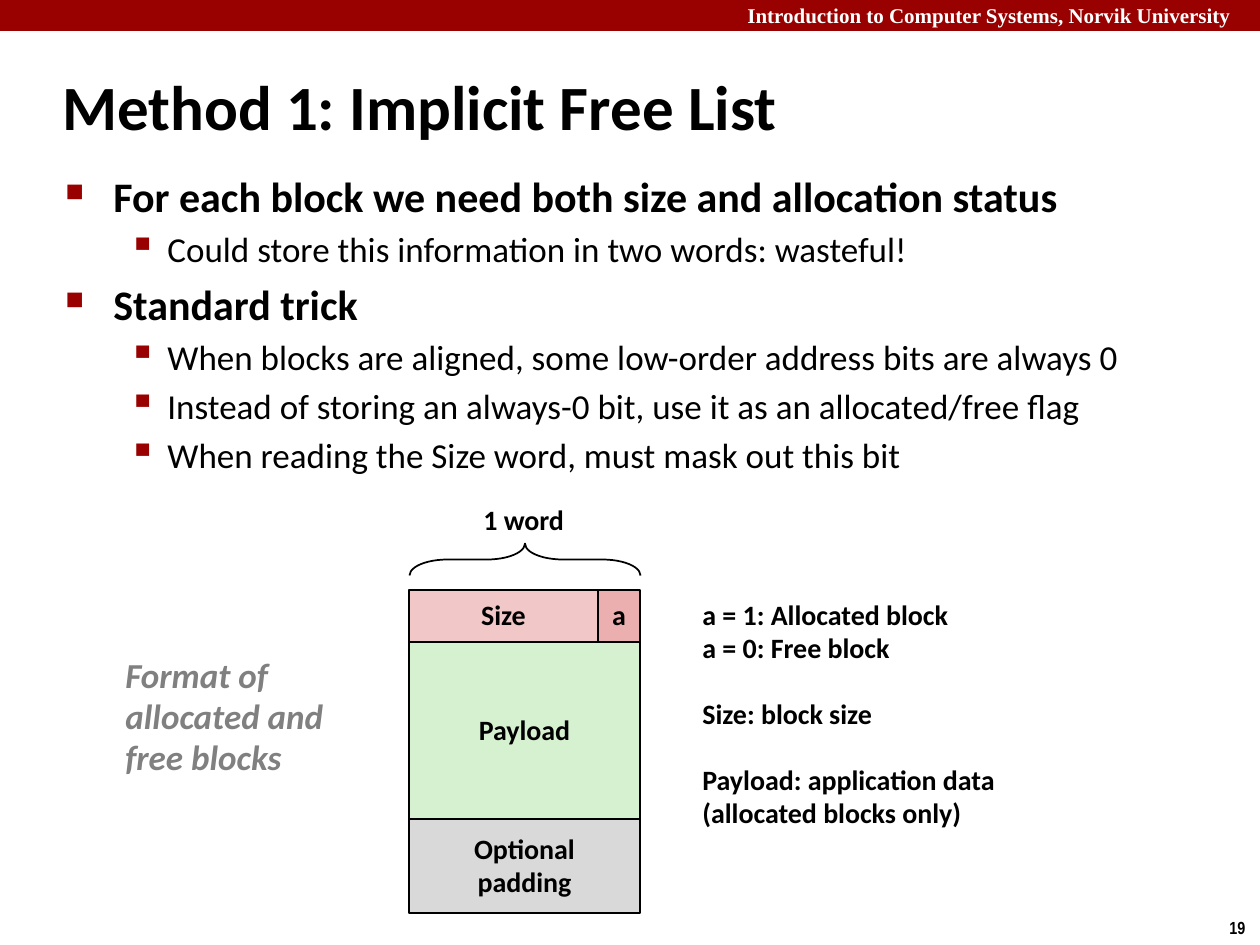
from lxml import etree
from pptx import Presentation
from pptx.dml.color import RGBColor
from pptx.enum.shapes import MSO_SHAPE
from pptx.enum.text import MSO_ANCHOR, PP_ALIGN
from pptx.oxml.ns import qn
from pptx.util import Emu, Pt

RECT, BRACE = MSO_SHAPE.RECTANGLE, MSO_SHAPE.RIGHT_BRACE
LEFT, CENTER = PP_ALIGN.LEFT, PP_ALIGN.CENTER
TOP, MIDDLE = MSO_ANCHOR.TOP, MSO_ANCHOR.MIDDLE

PX_PER_INCH = 126
SLIDE_W, SLIDE_H = 1260, 945
BLACK, WHITE, RED, GRAY = "000000", "FFFFFF", "990000", "808080"
LINE_SPACING = 0.98
BLANK_LINE = 19  # points

# Per outline level: size, bold, left margin px, hanging px, bullet, bullet size %
LEVELS = [
    (24, True, 48, 48, "■", 60),
    (20, False, 102, 39, "▪", 110),
]
OUTLINE = [
    (0, "For each block we need both size and allocation status"),
    (1, "Could store this information in two words: wasteful!"),
    (0, "Standard trick"),
    (1, "When blocks are aligned, some low-order address bits are always 0"),
    (1, "Instead of storing an always-0 bit, use it as an allocated/free flag"),
    (1, "When reading the Size word, must mask out this bit"),
]
LEGEND = [
    ["a = 1: Allocated block", "a = 0: Free block"],
    ["Size: block size"],
    ["Payload: application data", "(allocated blocks only)"],
]

BLOCK_LEFT, BLOCK_TOP, BLOCK_W = 409, 590, 231
FLAG_W, HEADER_H, PAYLOAD_H, PADDING_H = 42, 52, 177, 94


def px(length):
    return Emu(round(length * 914400 / PX_PER_INCH))


def rgb(color):
    return RGBColor.from_string(color)


def write(paragraph, text, size=16, color=BLACK, bold=True, italic=False,
          font="Calibri", align=LEFT, spacing=None, before=None):
    run = paragraph.add_run()
    run.text = text
    run.font.name = font
    run.font.size = Pt(size)
    run.font.bold = bold
    run.font.italic = italic
    run.font.color.rgb = rgb(color)
    paragraph.alignment = align
    if spacing:
        paragraph.line_spacing = spacing
    if before:
        paragraph.space_before = Pt(before)


def next_paragraph(frame):
    """Return the still empty first paragraph, or a new one."""
    first = frame.paragraphs[0]
    return frame.add_paragraph() if first.runs else first


def add_text(slide, box, lines, wrap=False, anchor=TOP, **style):
    frame = slide.shapes.add_textbox(*map(px, box)).text_frame
    frame.word_wrap = wrap
    frame.vertical_anchor = anchor
    for line in lines:
        write(next_paragraph(frame), line, **style)
    return frame


def add_shape(slide, kind, box, fill=None, line=None):
    shape = slide.shapes.add_shape(kind, *map(px, box))
    shape.shadow.inherit = False
    if fill:
        shape.fill.solid()
        shape.fill.fore_color.rgb = rgb(fill)
    else:
        shape.fill.background()
    if line:
        shape.line.color.rgb = rgb(line)
        shape.line.width = Pt(1)
    else:
        shape.line.fill.background()
    return shape


def add_field(slide, box, fill, lines):
    """Add one labelled field of the memory block."""
    frame = add_shape(slide, RECT, box, fill, BLACK).text_frame
    frame.word_wrap = False
    frame.vertical_anchor = MIDDLE
    for line in lines:
        write(next_paragraph(frame), line, align=CENTER, spacing=LINE_SPACING)


def set_bullet(paragraph, char, percent, margin, hanging):
    props = paragraph._p.get_or_add_pPr()
    props.set("marL", str(px(margin)))
    props.set("indent", str(-px(hanging)))
    color = etree.SubElement(props, qn("a:buClr"))
    etree.SubElement(color, qn("a:srgbClr"), val=RED)
    etree.SubElement(props, qn("a:buSzPct"), val=str(percent * 1000))
    etree.SubElement(props, qn("a:buChar"), char=char)


def add_outline(slide):
    frame = add_text(slide, (53, 164, 1138, 297), [], wrap=True)
    for level, text in OUTLINE:
        size, bold, margin, hanging, char, percent = LEVELS[level]
        paragraph = next_paragraph(frame)
        paragraph.level = level
        write(paragraph, text, size=size, bold=bold, before=size * 0.2)
        set_bullet(paragraph, char, percent, margin, hanging)


def add_block(slide):
    size_w = BLOCK_W - FLAG_W
    payload_top = BLOCK_TOP + HEADER_H
    padding_top = payload_top + PAYLOAD_H
    add_field(slide, (BLOCK_LEFT, BLOCK_TOP, size_w, HEADER_H), "F1C7C7", ["Size"])
    add_field(slide, (BLOCK_LEFT + size_w, BLOCK_TOP, FLAG_W, HEADER_H),
              "EBAFAF", ["a"])
    add_field(slide, (BLOCK_LEFT, payload_top, BLOCK_W, PAYLOAD_H),
              "D5F1CF", ["Payload"])
    add_field(slide, (BLOCK_LEFT, padding_top, BLOCK_W, PADDING_H),
              "D9D9D9", ["Optional", "padding"])


def add_word_brace(slide):
    brace = add_shape(slide, BRACE, (509, 444, 32, BLOCK_W), line=BLACK)
    brace.rotation = 270
    brace.adjustments[0] = 1.19
    add_text(slide, (471, 498, 107, 47), ["1 word"], spacing=LINE_SPACING)


def add_legend(slide):
    frame = add_text(slide, (690, 593, 321, 280), [])
    for group_index, group in enumerate(LEGEND):
        for line_index, line in enumerate(group):
            starts_group = group_index > 0 and line_index == 0
            write(next_paragraph(frame), line, spacing=LINE_SPACING,
                  before=BLANK_LINE if starts_group else None)


def main():
    deck = Presentation()
    deck.slide_width, deck.slide_height = px(SLIDE_W), px(SLIDE_H)
    slide = deck.slides.add_slide(deck.slide_layouts[6])

    add_shape(slide, RECT, (0, 0, SLIDE_W, 31), RED)
    add_text(slide, (735, -4, 534, 38),
             ["Introduction to Computer Systems, Norvik University"],
             wrap=True, size=12, color=WHITE, font="Times New Roman")
    add_text(slide, (1217, 911, 43, 34), ["19"], size=10, font="Arial Narrow")
    add_text(slide, (50, 66, 908, 79), ["Method 1: Implicit Free List"],
             wrap=True, anchor=MIDDLE, size=36)
    add_outline(slide)
    add_block(slide)
    add_word_brace(slide)
    add_text(slide, (113, 649, 224, 137),
             ["Format of", "allocated and", "free blocks"],
             size=20, color=GRAY, italic=True, spacing=LINE_SPACING)
    add_legend(slide)
    deck.save("out.pptx")


if __name__ == "__main__":
    main()
